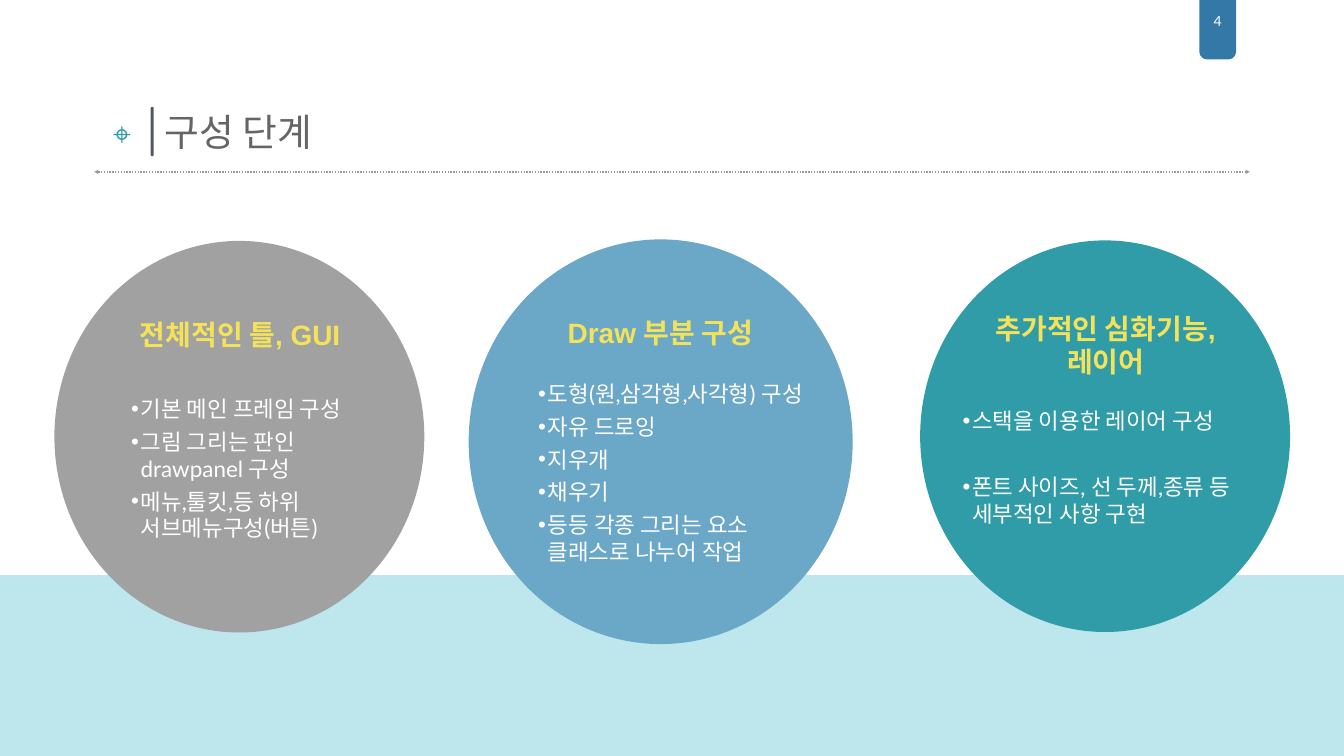
from lxml import etree
from pptx import Presentation
from pptx.dml.color import RGBColor
from pptx.enum.dml import MSO_LINE
from pptx.enum.shapes import MSO_CONNECTOR, MSO_SHAPE
from pptx.enum.text import MSO_ANCHOR, MSO_AUTO_SIZE, PP_ALIGN
from pptx.oxml.ns import qn
from pptx.util import Inches, Pt

TOP, MIDDLE = MSO_ANCHOR.TOP, MSO_ANCHOR.MIDDLE
LEFT, CENTER = PP_ALIGN.LEFT, PP_ALIGN.CENTER
RECT, ROUNDED, OVAL = MSO_SHAPE.RECTANGLE, MSO_SHAPE.ROUNDED_RECTANGLE, MSO_SHAPE.OVAL

WHITE, YELLOW, TEAL, GRAY = "FFFFFF", "F4E25A", "309CA8", "9A9A9A"
ITEM_GAP, WIDE_GAP = 8.5, 56

TITLE = "구성 단계"
# Boxes are left, top, width, height in inches.
STAGES = [
    {"circle": (1.08, 4.78, 7.34, 7.77), "color": "A1A1A1",
     "heading": "전체적인 틀, GUI", "heading_box": (2.49, 6.22, 4.55, 0.83),
     "items": ["기본 메인 프레임 구성", "그림 그리는 판인 drawpanel 구성",
               "메뉴,툴킷,등 하위 서브메뉴구성(버튼)"],
     "items_box": (2.6, 7.84, 4.37, 4.15), "gap": ITEM_GAP},
    {"circle": (9.3, 4.75, 7.62, 8.03), "color": "6BA7C6",
     "heading": "Draw 부분 구성", "heading_box": (11.01, 6.18, 4.19, 0.83),
     "items": ["도형(원,삼각형,사각형) 구성", "자유 드로잉", "지우개", "채우기",
               "등등 각종 그리는 요소 클래스로 나누어 작업"],
     "items_box": (10.68, 7.54, 5.34, 4.27), "gap": ITEM_GAP},
    {"circle": (18.26, 4.77, 7.34, 7.77), "color": TEAL,
     "heading": "추가적인 심화기능,레이어", "heading_box": (19.45, 6.09, 4.98, 1.5),
     "items": ["스택을 이용한 레이어 구성",
               "폰트 사이즈, 선 두께,종류 등 세부적인 사항 구현"],
     "items_box": (19.1, 8.08, 6.21, 2.41), "gap": WIDE_GAP},
]


def rgb(color):
    return RGBColor.from_string(color)


def inches(box):
    return [Inches(value) for value in box]


def add_filled(slide, kind, box, color):
    shape = slide.shapes.add_shape(kind, *inches(box))
    shape.shadow.inherit = False
    shape.fill.solid()
    shape.fill.fore_color.rgb = rgb(color)
    shape.line.fill.background()
    return shape


def set_frame(frame, anchor=TOP, inset=0.0, wrap=True):
    frame.auto_size = MSO_AUTO_SIZE.NONE
    frame.word_wrap = wrap
    frame.vertical_anchor = anchor
    frame.margin_left = frame.margin_right = Inches(inset)
    frame.margin_top = frame.margin_bottom = Inches(inset)


def write(paragraph, text, size, font, color, align=LEFT, bold=False):
    paragraph.alignment = align
    run = paragraph.add_run()
    run.text = text
    run.font.size = Pt(size)
    run.font.name = font
    run.font.bold = bold
    run.font.color.rgb = rgb(color)


def add_label(slide, box, text, size, font, color, anchor=MIDDLE, inset=0.08,
              wrap=True, bold=False):
    frame = slide.shapes.add_textbox(*inches(box)).text_frame
    set_frame(frame, anchor, inset, wrap)
    write(frame.paragraphs[0], text, size, font, color, CENTER, bold)


def place(placeholder, box):
    """Move a placeholder to its box and in front of everything drawn so far."""
    placeholder.left, placeholder.top, placeholder.width, placeholder.height = inches(box)
    set_frame(placeholder.text_frame)
    placeholder.element.getparent().append(placeholder.element)
    return placeholder.text_frame


def fill_list(body, stage):
    frame = place(body, stage["items_box"])
    for index, item in enumerate(stage["items"]):
        paragraph = frame.add_paragraph() if index else frame.paragraphs[0]
        properties = paragraph._p.get_or_add_pPr()
        properties.set("marL", str(Inches(0.19)))
        properties.set("indent", str(Inches(-0.19)))
        etree.SubElement(properties, qn("a:buChar")).set("char", "•")
        paragraph.space_before = Pt(stage["gap"] if index else 0)
        write(paragraph, item, 32, "Lato", WHITE)


def add_divider(slide):
    divider = slide.shapes.add_connector(
        MSO_CONNECTOR.STRAIGHT, *inches((1.87, 3.41, 24.8, 3.41)))
    divider.line.color.rgb = rgb(GRAY)
    divider.line.width = Pt(2)
    divider.line.dash_style = MSO_LINE.ROUND_DOT
    line = divider.line._ln
    for end in ("a:headEnd", "a:tailEnd"):
        etree.SubElement(line, qn(end)).set("type", "triangle")
    etree.SubElement(divider.element.spPr, qn("a:effectLst"))


def main():
    deck = Presentation()
    deck.slide_width, deck.slide_height = inches((26.67, 15))
    slide = deck.slides.add_slide(deck.slide_layouts.get_by_name("Comparison"))
    title, *bodies = slide.placeholders

    page_tab = add_filled(slide, ROUNDED, (23.8, -0.21, 0.73, 1.39), "3378A6")
    page_tab.adjustments[0] = 0.21
    band = add_filled(slide, RECT, (0, 11.41, 26.67, 3.59), "76CED8")
    band_color = band.fill._xPr.find(".//" + qn("a:srgbClr"))
    etree.SubElement(band_color, qn("a:alpha")).set("val", "48000")

    add_label(slide, (24, 0.24, 0.33, 0.49), "4", 20, "Lato", WHITE,
              anchor=TOP, inset=0, wrap=False)
    add_label(slide, (2.01, 2.17, 0.82, 0.92), "⌖", 45, "Calibri", TEAL, wrap=False)
    title_bar = add_filled(slide, ROUNDED, (2.99, 2.12, 0.06, 0.98), "53585F")
    title_bar.adjustments[0] = 0.5
    title_frame = place(title, (3.27, 2.15, 6.68, 0.91))
    write(title_frame.paragraphs[0], TITLE, 54, "Lato", "656565")
    add_divider(slide)

    for stage, body in zip(STAGES, bodies):
        add_filled(slide, OVAL, stage["circle"], stage["color"])
        fill_list(body, stage)
        add_label(slide, stage["heading_box"], stage["heading"], 40, "Arial",
                  YELLOW, bold=True)
    for unused in bodies[len(STAGES):]:
        unused.element.getparent().remove(unused.element)

    deck.save("out.pptx")


if __name__ == "__main__":
    main()
